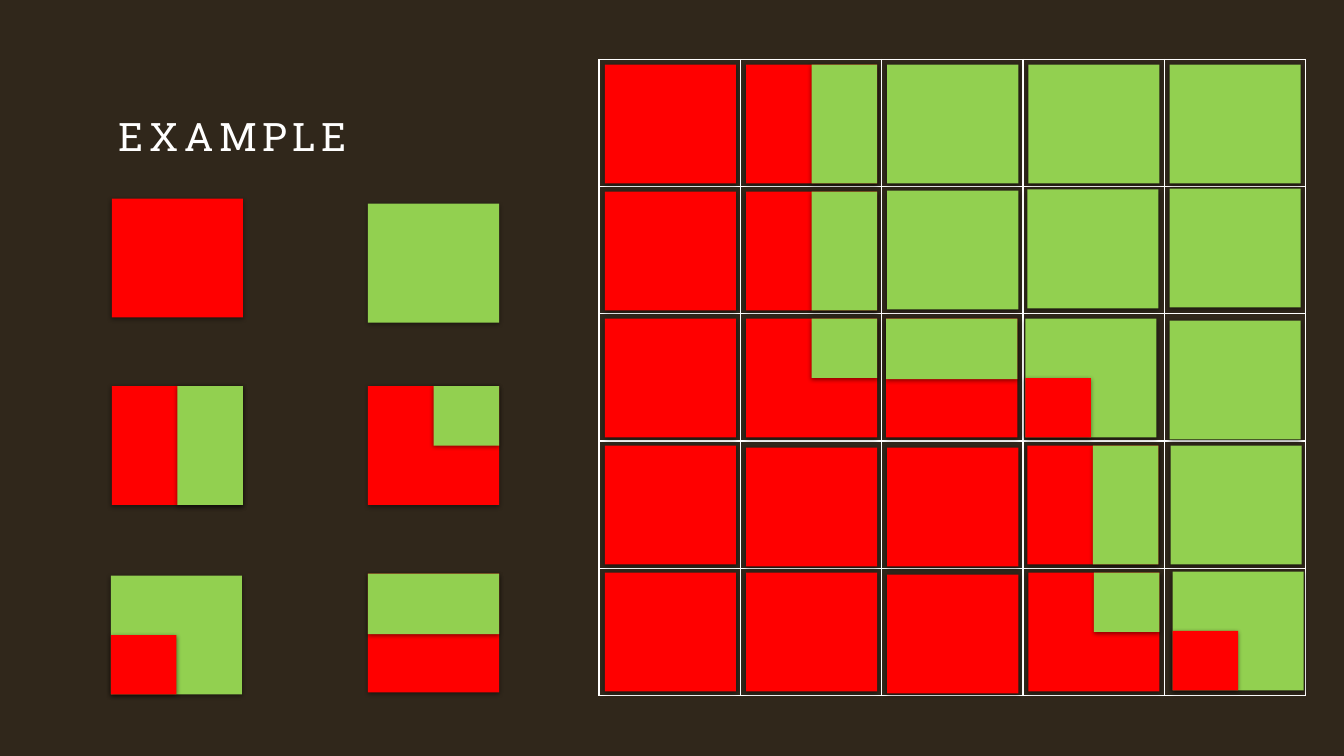
from lxml import etree
from pptx import Presentation
from pptx.dml.color import RGBColor
from pptx.enum.shapes import MSO_SHAPE as Shape
from pptx.enum.text import MSO_ANCHOR as Anchor, PP_ALIGN as Align
from pptx.oxml.ns import qn
from pptx.util import Inches, Pt

COLORS = {"back": "30271B", "red": "FF0000", "green": "92D050",
          "white": "FFFFFF", "shade": "000000"}
TITLE = "EXAMPLE"
FONT = "Roboto Slab"

# Tile kinds: base colour, then the patch colour and its box as shares of the tile
TILES = {
    "R": ("red", None, None),
    "G": ("green", None, None),
    "V": ("red", "green", (0.5, 0, 0.5, 1)),
    "C": ("red", "green", (0.5, 0, 0.5, 0.5)),
    "H": ("red", "green", (0, 0, 1, 0.51)),
    "B": ("green", "red", (0, 0.5, 0.5, 0.5)),
}
LEGEND = ["RG", "VC", "BH"]
BOARD = ["RVGGG", "RVGGG", "RCHBG", "RRRVG", "RRRCB"]

# Small shifts (across, down) by row and column
LEGEND_SHIFT = {(0, 1): (0, 0.05), (2, 0): (-0.01, 0.02)}
BOARD_SHIFT = {
    (1, 2): (0, -0.01), (1, 3): (-0.01, -0.02), (1, 4): (0, -0.03),
    (2, 2): (-0.01, 0), (2, 3): (-0.03, 0), (2, 4): (0, 0.02),
    (3, 1): (0, 0.02), (3, 2): (0, 0.02), (3, 3): (-0.01, 0),
    (3, 4): (0.01, 0), (4, 2): (0, 0.02), (4, 4): (0.03, -0.01),
}

TILE_W, TILE_H = 1.3, 1.18
LEGEND_AT, LEGEND_STEP = (1.11, 1.97), (2.54, 1.86)
BOARD_AT, BOARD_STEP = (6.0, 0.64), (1.4, 1.26)
GRID_AT, GRID_SIZE = (5.94, 0.59), (7.01, 6.31)


def color(name):
    return RGBColor.from_string(COLORS[name])


def write(frame, text, *, size, ink, font, gap):
    frame.margin_left = frame.margin_right = 0
    frame.margin_top = frame.margin_bottom = 0
    frame.vertical_anchor = Anchor.TOP
    frame.word_wrap = True
    para = frame.paragraphs[0]
    para.alignment = Align.LEFT
    run = para.add_run()
    run.text = text
    run.font.name = font
    run.font.size = Pt(size)
    run.font.color.rgb = color(ink)
    run.font._element.set("spc", str(gap * 100))


def shade(shape):
    """Give the shape a soft shadow that falls straight down."""
    shape.shadow.inherit = False
    effects = shape._element.spPr.find(qn("a:effectLst"))
    outer = etree.SubElement(effects, qn("a:outerShdw"), blurRad=str(Pt(3.5)),
                             dist=str(Pt(1.1)), dir="5400000",
                             algn="ctr", rotWithShape="0")
    tint = etree.SubElement(outer, qn("a:srgbClr"), val=COLORS["shade"])
    etree.SubElement(tint, qn("a:alpha"), val="45000")


def block(slide, x, y, w, h, fill):
    box = slide.shapes.add_shape(Shape.RECTANGLE, *map(Inches, (x, y, w, h)))
    box.fill.solid()
    box.fill.fore_color.rgb = color(fill)
    box.line.fill.background()
    shade(box)


def tile(slide, x, y, kind):
    base, patch, part = TILES[kind]
    block(slide, x, y, TILE_W, TILE_H, base)
    if patch:
        left, top, wide, high = part
        block(slide, x + left * TILE_W, y + top * TILE_H,
              wide * TILE_W, high * TILE_H, patch)


def lay(slide, rows, start, step, shifts):
    for r, row in enumerate(rows):
        for c, kind in enumerate(row):
            dx, dy = shifts.get((r, c), (0, 0))
            tile(slide, start[0] + c * step[0] + dx,
                 start[1] + r * step[1] + dy, kind)


def frame_cell(cell):
    """Draw thin white borders and leave the cell clear."""
    props = cell._tc.get_or_add_tcPr()
    for side in ("lnL", "lnR", "lnT", "lnB"):
        line = etree.SubElement(props, qn(f"a:{side}"), w=str(Pt(1)))
        fill = etree.SubElement(line, qn("a:solidFill"))
        etree.SubElement(fill, qn("a:srgbClr"), val=COLORS["white"])
    cell.fill.background()


def add_grid(slide):
    count = len(BOARD)
    size = [Inches(n) for n in GRID_SIZE]
    table = slide.shapes.add_table(
        count, count, *map(Inches, GRID_AT), *size).table
    table.first_row = table.horz_banding = False
    for col in table.columns:
        col.width = size[0] // count
    for row in table.rows:
        row.height = size[1] // count
    for cell in table.iter_cells():
        frame_cell(cell)


def main():
    deck = Presentation()
    deck.slide_width, deck.slide_height = Inches(13.33), Inches(7.5)
    slide = deck.slides.add_slide(deck.slide_layouts[5])
    slide.background.fill.solid()
    slide.background.fill.fore_color.rgb = color("back")

    title = slide.shapes.title
    title.left, title.top = Inches(1.18), Inches(1.11)
    title.width, title.height = Inches(10.97), Inches(0.72)
    write(title.text_frame, TITLE, size=28, ink="white", font=FONT, gap=4)

    add_grid(slide)
    lay(slide, LEGEND, LEGEND_AT, LEGEND_STEP, LEGEND_SHIFT)
    lay(slide, BOARD, BOARD_AT, BOARD_STEP, BOARD_SHIFT)
    deck.save("out.pptx")


if __name__ == "__main__":
    main()
